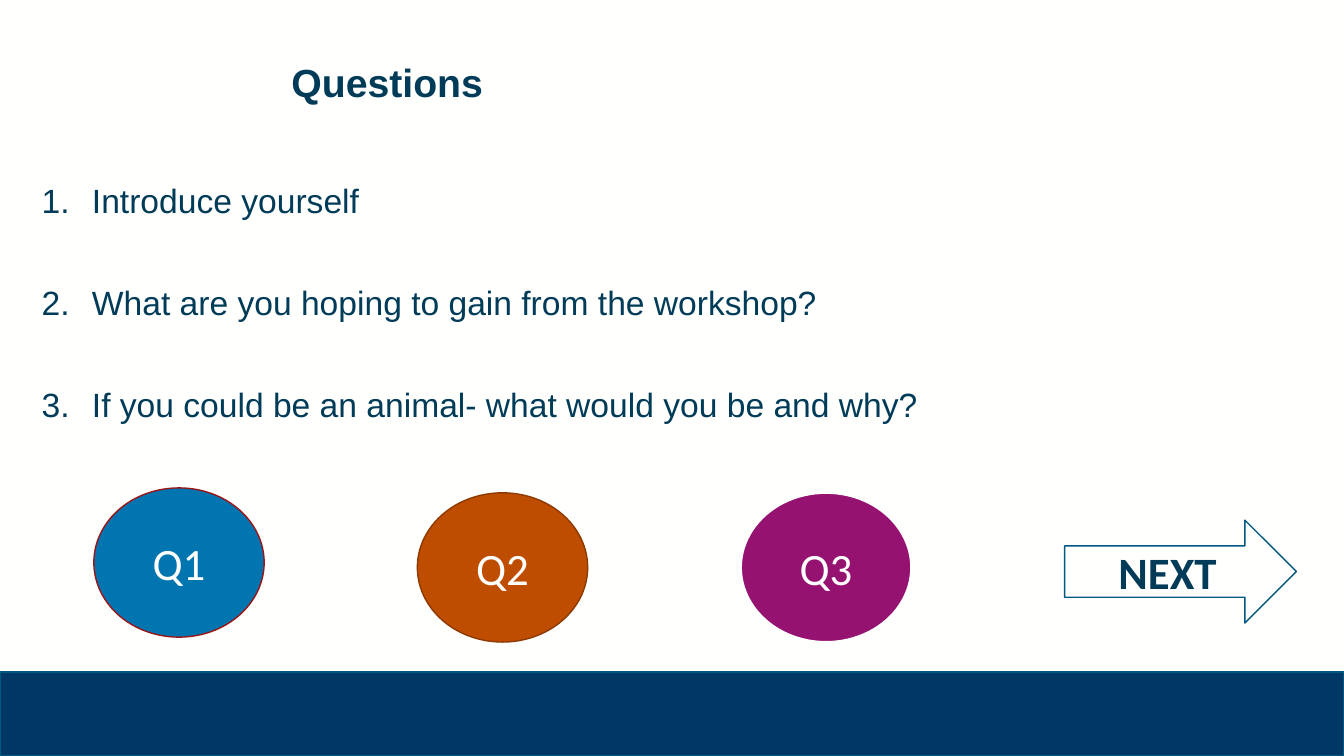
from lxml import etree
from pptx import Presentation
from pptx.dml.color import RGBColor
from pptx.enum import shapes, text
from pptx.oxml.ns import qn
from pptx.util import Pt

COLOURS = {
    "background": "FFFFFE",
    "text": "003B58",
    "next": "013B58",
    "footer": "003865",
    "outline": "005782",
}
QUESTIONS = [
    "Introduce yourself",
    "What are you hoping to gain from the workshop?",
    "If you could be an animal- what would you be and why?",
]
# label, fill, outline, outline width, top
CIRCLES = [
    ("Q1", "0075B0", "991518", 1, 348.5),
    ("Q2", "BE4D00", "8D3900", 1, 352),
    ("Q3", "951271", COLOURS["background"], 1.5, 352),
]
CIRCLE_PITCH = 231.1


def rgb(colour):
    return RGBColor.from_string(colour)


def set_font(paragraph, name, size, colour, bold=False):
    font = paragraph.font
    font.name, font.size, font.bold = name, Pt(size), bold
    font.color.rgb = rgb(colour)


def place(shape, box):
    shape.left, shape.top, shape.width, shape.height = map(Pt, box)


def add_title(slide, box, wording):
    title = slide.shapes.title
    place(title, box)
    frame = title.text_frame
    frame.text = wording
    frame.auto_size = text.MSO_AUTO_SIZE.NONE
    frame.vertical_anchor = text.MSO_ANCHOR.TOP
    paragraph = frame.paragraphs[0]
    paragraph.alignment = text.PP_ALIGN.LEFT
    paragraph.line_spacing = 0.9
    set_font(paragraph, "Arial", 28, COLOURS["text"], bold=True)


def add_questions(slide, box):
    body = slide.placeholders[1]
    place(body, box)
    frame = body.text_frame
    frame.text = "\n".join(QUESTIONS)
    frame.auto_size = text.MSO_AUTO_SIZE.NONE
    frame.vertical_anchor = text.MSO_ANCHOR.TOP
    for index, paragraph in enumerate(frame.paragraphs):
        properties = paragraph._p.get_or_add_pPr()
        properties.set("marL", str(Pt(36)))
        properties.set("indent", str(Pt(-36)))
        etree.SubElement(properties, qn("a:buFont"), typeface="+mj-lt")
        etree.SubElement(properties, qn("a:buAutoNum"), type="arabicPeriod")
        paragraph.line_spacing = 0.9
        paragraph.space_before = Pt(47 if index else 0)
        set_font(paragraph, "Arial", 24, COLOURS["text"])


def add_block(slide, kind, box, fill, outline, outline_width=1):
    block = slide.shapes.add_shape(kind, *map(Pt, box))
    block.shadow.inherit = False
    if fill:
        block.fill.solid()
        block.fill.fore_color.rgb = rgb(fill)
    else:
        block.fill.background()
    block.line.color.rgb = rgb(outline)
    block.line.width = Pt(outline_width)
    return block


def add_label(block, wording, colour, bold=False):
    frame = block.text_frame
    frame.text = wording
    frame.vertical_anchor = text.MSO_ANCHOR.MIDDLE
    paragraph = frame.paragraphs[0]
    paragraph.alignment = text.PP_ALIGN.CENTER
    set_font(paragraph, "Calibri", 32, colour, bold)


def add_circles(slide, left, width, height):
    for index, (label, fill, outline, outline_width, top) in enumerate(CIRCLES):
        box = (left + index * CIRCLE_PITCH, top, width, height)
        circle = add_block(slide, shapes.MSO_SHAPE.OVAL, box, fill, outline, outline_width)
        add_label(circle, label, COLOURS["background"])


def add_next_arrow(slide, box):
    arrow = add_block(slide, shapes.MSO_SHAPE.RIGHT_ARROW, box, None, COLOURS["outline"])
    add_label(arrow, "NEXT", COLOURS["next"], bold=True)


def main():
    presentation = Presentation()
    presentation.slide_width, presentation.slide_height = Pt(960), Pt(540)
    slide = presentation.slides.add_slide(presentation.slide_layouts[1])
    slide.background.fill.solid()
    slide.background.fill.fore_color.rgb = rgb(COLOURS["background"])

    add_title(slide, (201, 42, 725, 70), "Questions")
    add_questions(slide, (22.5, 128, 903.5, 363))
    add_circles(slide, 67, 121.7, 106.6)
    add_block(slide, shapes.MSO_SHAPE.RECTANGLE, (0, 480, 960, 60),
              COLOURS["footer"], COLOURS["outline"])
    add_next_arrow(slide, (760.5, 371.5, 165.5, 73.5))
    presentation.save("out.pptx")


if __name__ == "__main__":
    main()
